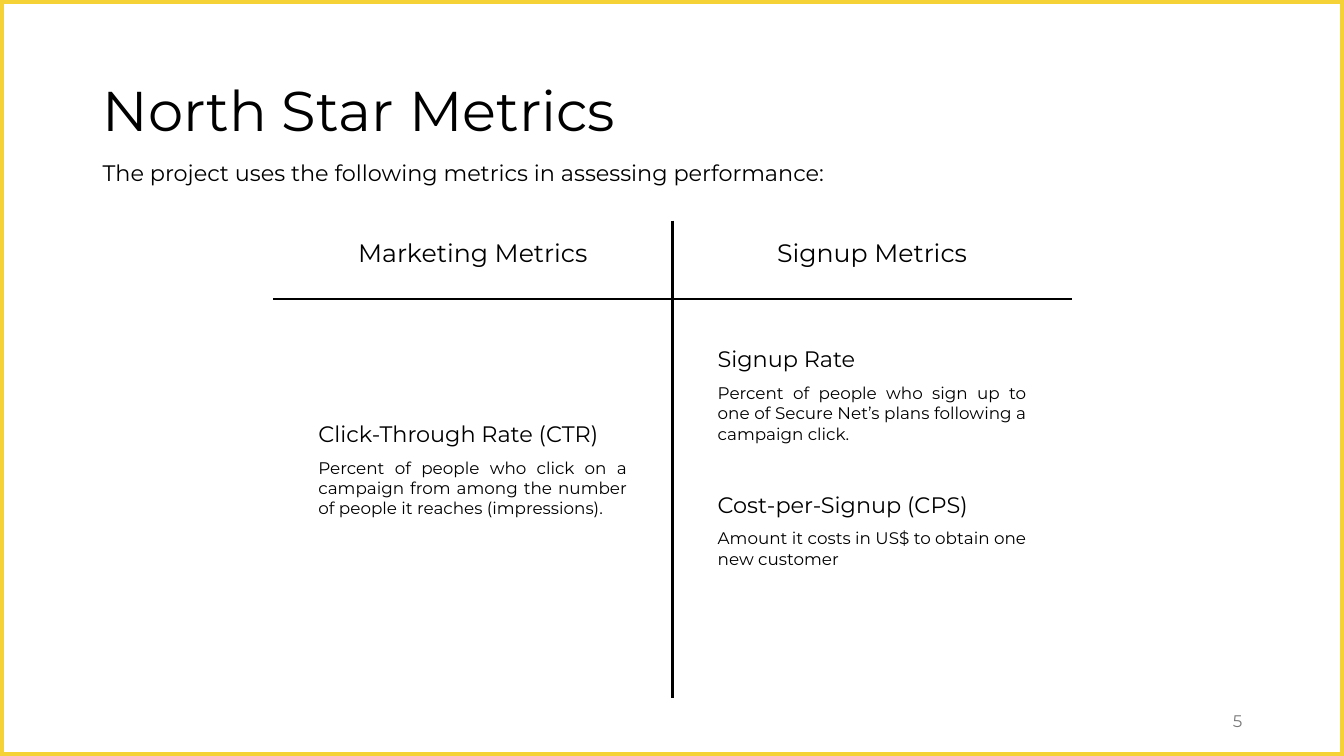
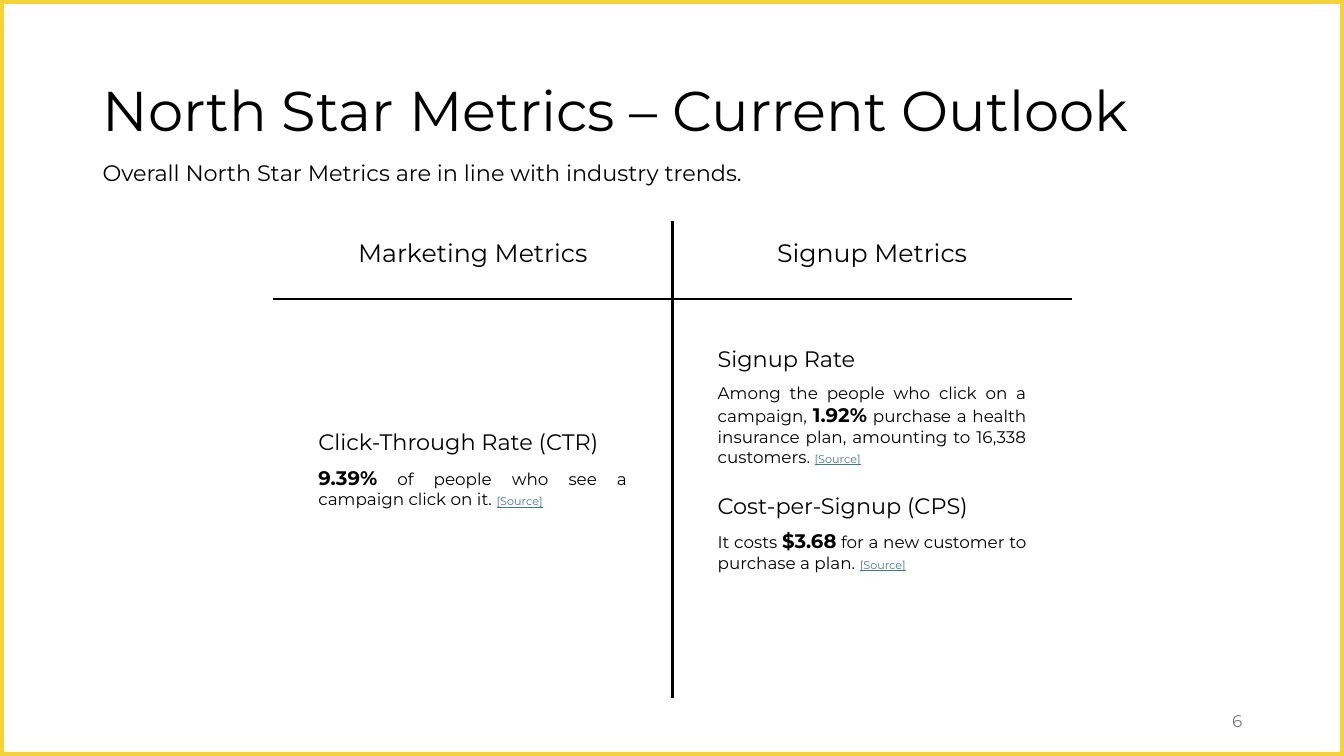
from lxml.etree import SubElement
from pptx import Presentation
from pptx.dml.color import RGBColor
from pptx.enum.shapes import MSO_CONNECTOR, MSO_SHAPE
from pptx.enum.text import MSO_ANCHOR, MSO_AUTO_SIZE, PP_ALIGN
from pptx.oxml.ns import qn
from pptx.util import Inches, Pt

COLORS = {"text": "000000", "frame": "F5D236", "source": "467886", "number": "797979"}
FONT = "Montserrat"

# Run styles of the descriptions: size, bold, underline, colour
RUN_STYLES = {
    "plain": (12, False, False, "text"),
    "figure": (14, True, False, "text"),
    "source": (8, False, True, "source"),
}
SOURCE = ("[Source]", "source")

CENTER = 6.67
COLUMN_WIDTH = 3.96
COLUMN_INSET = 0.35
HEADING_HEIGHT = 0.37
COLUMNS = [("Marketing Metrics", CENTER - COLUMN_WIDTH), ("Signup Metrics", CENTER)]

# Each metric: column, top, heading, description runs
SLIDES = [
    {
        "number": 5,
        "title": "North Star Metrics",
        "subtitle": "The project uses the following metrics in assessing performance:",
        "metrics": [
            (0, 4.12, "Click-Through Rate (CTR)", [
                ("Percent of people who click on a campaign from among the number "
                 "of people it reaches (impressions).", "plain")]),
            (1, 3.38, "Signup Rate", [
                ("Percent of people who sign up to one of Secure Net’s plans "
                 "following a campaign click.", "plain")]),
            (1, 4.82, "Cost-per-Signup (CPS)", [
                ("Amount it costs in US$ to obtain one new customer", "plain")]),
        ],
    },
    {
        "number": 6,
        "title": "North Star Metrics – Current Outlook",
        "subtitle": "Overall North Star Metrics are in line with industry trends.",
        "metrics": [
            (0, 4.2, "Click-Through Rate (CTR)", [
                ("9.39%", "figure"),
                (" of people who see a campaign click on it. ", "plain"), SOURCE]),
            (1, 3.38, "Signup Rate", [
                ("Among the people who click on a campaign, ", "plain"),
                ("1.92%", "figure"),
                (" purchase a health insurance plan, amounting to 16,338 customers. ", "plain"),
                SOURCE]),
            (1, 4.83, "Cost-per-Signup (CPS)", [
                ("It costs ", "plain"), ("$3.68", "figure"),
                (" for a new customer to purchase a plan. ", "plain"), SOURCE]),
        ],
    },
]


def set_font(font, size, color="text"):
    font.name = FONT
    font.size = Pt(size)
    font.color.rgb = RGBColor.from_string(COLORS[color])


def add_text(slide, box, text, size, align=PP_ALIGN.LEFT, color="text"):
    """Add a wrapped text box and return its only paragraph."""
    frame = slide.shapes.add_textbox(*map(Inches, box)).text_frame
    frame.word_wrap = True
    paragraph = frame.paragraphs[0]
    paragraph.text = text
    paragraph.alignment = align
    set_font(paragraph.font, size, color)
    return paragraph


presentation = Presentation()
presentation.slide_width = Inches(13.33)
presentation.slide_height = Inches(7.5)
layout = presentation.slide_layouts[5]

layout_title = layout.placeholders[0]
layout_title.left, layout_title.top = Inches(0.92), Inches(0.4)
layout_title.width, layout_title.height = Inches(11.5), Inches(1.45)

for content in SLIDES:
    slide = presentation.slides.add_slide(layout)

    title_frame = slide.shapes.title.text_frame
    title_frame.text = content["title"]
    title_frame.vertical_anchor = MSO_ANCHOR.MIDDLE
    title_frame.auto_size = MSO_AUTO_SIZE.NONE
    title = title_frame.paragraphs[0]
    title.alignment = PP_ALIGN.LEFT
    title.line_spacing = 0.9
    set_font(title.font, 40)

    add_text(slide, (0.92, 1.53, 11.5, 0.37), content["subtitle"], 16)

    for name, left in COLUMNS:
        add_text(slide, (left, 2.31, COLUMN_WIDTH, 0.4), name, 18, PP_ALIGN.CENTER)

    for column, top, heading, runs in content["metrics"]:
        left = COLUMNS[column][1] + COLUMN_INSET
        width = COLUMN_WIDTH - 2 * COLUMN_INSET
        add_text(slide, (left, top, width, HEADING_HEIGHT), heading, 16)
        description = add_text(slide, (left, top + HEADING_HEIGHT, width, 0.71), "", 12,
                               PP_ALIGN.JUSTIFY)
        for text, style in runs:
            size, bold, underline, color = RUN_STYLES[style]
            run = description.add_run()
            run.text = text
            set_font(run.font, size, color)
            run.font.bold = bold
            run.font.underline = underline

    for ends in [(CENTER - COLUMN_WIDTH, 2.97, CENTER + COLUMN_WIDTH, 2.97),
                 (CENTER, 2.19, CENTER, 6.92)]:
        rule = slide.shapes.add_connector(MSO_CONNECTOR.STRAIGHT, *map(Inches, ends))
        rule.line.color.rgb = RGBColor.from_string(COLORS["text"])
        rule.line.width = Pt(1.5)
        SubElement(rule.element.spPr, qn("a:effectLst"))

    number = add_text(slide, (9.42, 6.95, 3, 0.4), str(content["number"]), 12,
                      PP_ALIGN.RIGHT, "number")
    number._parent.vertical_anchor = MSO_ANCHOR.MIDDLE

# The frame is drawn once and moved to the layout, behind everything else
frame = slide.shapes.add_shape(MSO_SHAPE.RECTANGLE, 0, 0,
                               presentation.slide_width, presentation.slide_height)
frame.shadow.inherit = False
frame.fill.background()
frame.line.color.rgb = RGBColor.from_string(COLORS["frame"])
frame.line.width = Pt(6)
layout.shapes.element.insert(2, frame.element)

presentation.save("out.pptx")
